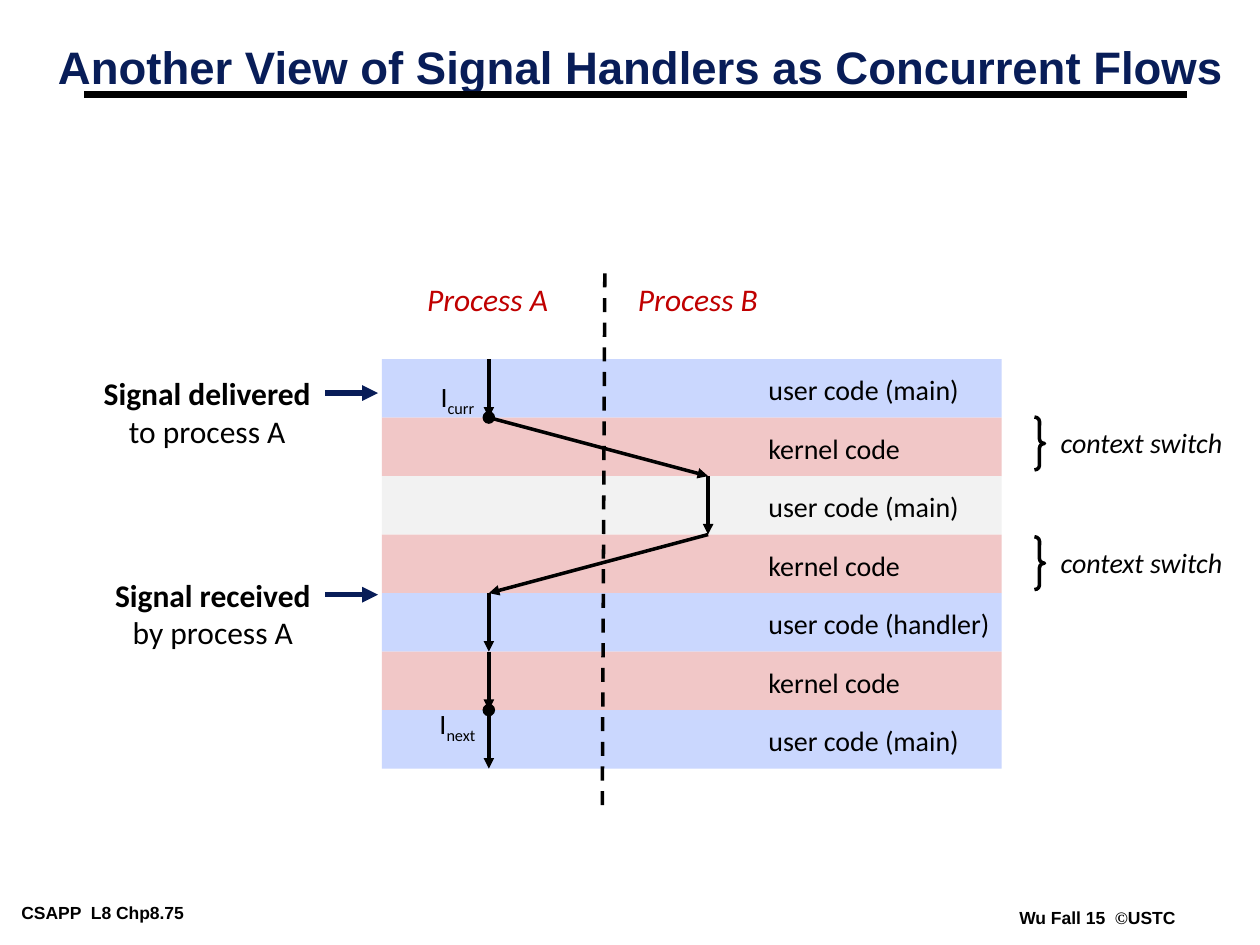
from lxml import etree
from pptx import Presentation
from pptx import util as u
from pptx.dml.color import RGBColor
from pptx.enum import dml, shapes, text
from pptx.oxml.ns import qn

BLACK = RGBColor(0x00, 0x00, 0x00)
NAVY = RGBColor(0x08, 0x1D, 0x58)
RED = RGBColor(0xC0, 0x00, 0x00)
BLUE_BAND = RGBColor(0xCA, 0xD7, 0xFE)
PINK_BAND = RGBColor(0xF1, 0xC7, 0xC7)
GRAY_BAND = RGBColor(0xF2, 0xF2, 0xF2)

LEFT, CENTER = text.PP_ALIGN.LEFT, text.PP_ALIGN.CENTER
BANDS = [
    ("user code (main)", BLUE_BAND, 1.71),
    ("kernel code", PINK_BAND, 1.25),
    ("user code (main)", GRAY_BAND, 1.71),
    ("kernel code", PINK_BAND, 1.25),
    ("user code (handler)", BLUE_BAND, 1.95),
    ("kernel code", PINK_BAND, 1.25),
    ("user code (main)", BLUE_BAND, 1.71),
]


def write(tf, paragraphs, size=16, font="Calibri", color=BLACK, bold=False,
          italic=False, align=LEFT, inset=(0.1, 0.05), spacing=None, wrap=False):
    """Fill a text frame with paragraphs, each a list of (text, overrides) runs."""
    tf.word_wrap = wrap
    tf.auto_size = text.MSO_AUTO_SIZE.NONE
    tf.margin_left = tf.margin_right = u.Inches(inset[0])
    tf.margin_top = tf.margin_bottom = u.Inches(inset[1])
    for i, runs in enumerate(paragraphs):
        p = tf.paragraphs[0] if i == 0 else tf.add_paragraph()
        p.alignment = align
        if spacing:
            p.line_spacing = spacing
        for content, over in runs:
            r = p.add_run()
            r.text = content
            r.font.size = u.Pt(size)
            r.font.name = over.get("font", font)
            r.font.bold = over.get("bold", bold)
            r.font.italic = italic
            r.font.color.rgb = color
            if over.get("sub"):
                r._r.get_or_add_rPr().set("baseline", "-25000")


def add_label(s, box, *paragraphs, **fmt):
    """Add a text box; plain strings become one-run paragraphs."""
    sp = s.shapes.add_textbox(*map(u.Inches, box))
    write(sp.text_frame,
          [[(p, {})] if isinstance(p, str) else p for p in paragraphs], **fmt)


def add_line(s, start, end, color=BLACK, width=2, arrow=False, dashed=False):
    """Add a straight line, optionally dashed or with an arrowhead at its end."""
    cx = s.shapes.add_connector(shapes.MSO_CONNECTOR.STRAIGHT,
                                *map(u.Inches, (*start, *end)))
    cx.line.color.rgb = color
    cx.line.width = u.Pt(width)
    if dashed:
        cx.line.dash_style = dml.MSO_LINE.DASH
    if arrow:
        etree.SubElement(cx.line._get_or_add_ln(), qn("a:tailEnd"), type="triangle")
    etree.SubElement(cx._element.spPr, qn("a:effectLst"))


def add_filled(s, kind, box, color):
    """Add a preset shape with a plain fill and no outline."""
    sp = s.shapes.add_shape(kind, *map(u.Inches, box))
    sp.shadow.inherit = False
    sp.fill.solid()
    sp.fill.fore_color.rgb = color
    sp.line.fill.background()


def add_title(s, x, y, w, h):
    """Place the title and the rule beneath it."""
    sp = s.shapes.title
    sp.left, sp.top, sp.width, sp.height = map(u.Inches, (x, y, w, h))
    sp.text_frame.vertical_anchor = text.MSO_ANCHOR.MIDDLE
    write(sp.text_frame,
          [[("Another View of Signal Handlers as Concurrent Flows", {})]],
          size=26, font="Arial", color=NAVY, bold=True, inset=(0.07, 0.03),
          spacing=0.87, wrap=True)
    add_line(s, (x + 0.28, y + 0.41), (x + 9.03, y + 0.41), width=4.5)


def add_footer(s, x, y):
    """Place the course mark at the left and the credit at the right."""
    fmt = dict(size=10, font="Arial", bold=True, inset=(0.07, 0.03))
    add_label(s, (x, y, 1.95, 0.22), "CSAPP  L8 Chp8.75", **fmt)
    add_label(s, (x + 7.92, y + 0.04, 1.38, 0.22),
              [("Wu Fall 15  ", {}), ("©", {"font": "Times New Roman"}), ("USTC", {})],
              **fmt)


def add_bands(s, x, y, w, h):
    """Stack the code bands with their labels."""
    step = h / len(BANDS)
    for i, (name, color, width) in enumerate(BANDS):
        top = y + i * step
        add_filled(s, shapes.MSO_SHAPE.RECTANGLE, (x, top, w, step), color)
        add_label(s, (x + 2.97, top + 0.06, width, 0.37), name)


def add_flow(s, x, y, h):
    """Draw the control flow through the bands, with process A's lane at x."""
    step = h / len(BANDS)
    lanes = [0, 0, 1.74, 1.74, 0, 0, 0, 0]
    points = [(x + dx, y + i * step) for i, dx in enumerate(lanes)]
    add_line(s, (x + 0.92, y - 0.68), (x + 0.9, y + h + 0.37), dashed=True)
    for start, end in zip(points, points[1:]):
        add_line(s, start, end, arrow=True)
    for name, row, rise in (("curr", 1, 0.35), ("next", 6, 0.08)):
        px, py = points[row]
        add_filled(s, shapes.MSO_SHAPE.OVAL, (px - 0.05, py - 0.05, 0.1, 0.1), BLACK)
        add_label(s, (px - 0.44, py - rise, 0.38, 0.41),
                  [("I", {}), (name, {"sub": True})], align=CENTER, inset=(0.05, 0.05))
    for name, dx in (("Process A", -0.59), ("Process B", 1.08)):
        add_label(s, (x + dx, y - 0.68, 1.16, 0.4), name, size=18, color=RED,
                  italic=True, align=CENTER)


def add_signal(s, x, y, w, event, target):
    """Place a signal caption in a box that ends at an arrow."""
    add_label(s, (x, y, w, 0.7), [(event, {"bold": True})], target,
              size=18, align=CENTER, inset=(0.05, 0.05))
    add_line(s, (x + w + 0.06, y + 0.2), (x + w + 0.48, y + 0.2), NAVY, 3, arrow=True)


def add_switch(s, x, y):
    """Place a brace with its context switch caption."""
    sp = s.shapes.add_shape(shapes.MSO_SHAPE.RIGHT_BRACE,
                            *map(u.Inches, (x, y, 0.08, 0.42)))
    sp.adjustments[0] = 0.45
    sp.shadow.inherit = False
    sp.fill.background()
    sp.line.color.rgb = BLACK
    sp.line.width = u.Pt(2)
    add_label(s, (x + 0.11, y + 0.02, 1.49, 0.37), "context switch", italic=True)


def main():
    """Build and save the slide."""
    prs = Presentation()
    prs.slide_width, prs.slide_height = u.Inches(10), u.Inches(7.5)
    s = prs.slides.add_slide(prs.slide_layouts[5])
    add_title(s, 0.39, 0.34, 9.49, 0.44)
    add_bands(s, 3.03, 2.85, 4.92, 3.25)
    add_flow(s, 3.88, 2.85, 3.25)
    add_signal(s, 0.77, 2.92, 1.75, "Signal delivered", "to process A")
    add_signal(s, 0.86, 4.52, 1.66, "Signal received", "by process A")
    for y in (3.31, 4.26):
        add_switch(s, 8.21, y)
    add_footer(s, 0.1, 7.13)
    prs.save("out.pptx")


if __name__ == "__main__":
    main()
